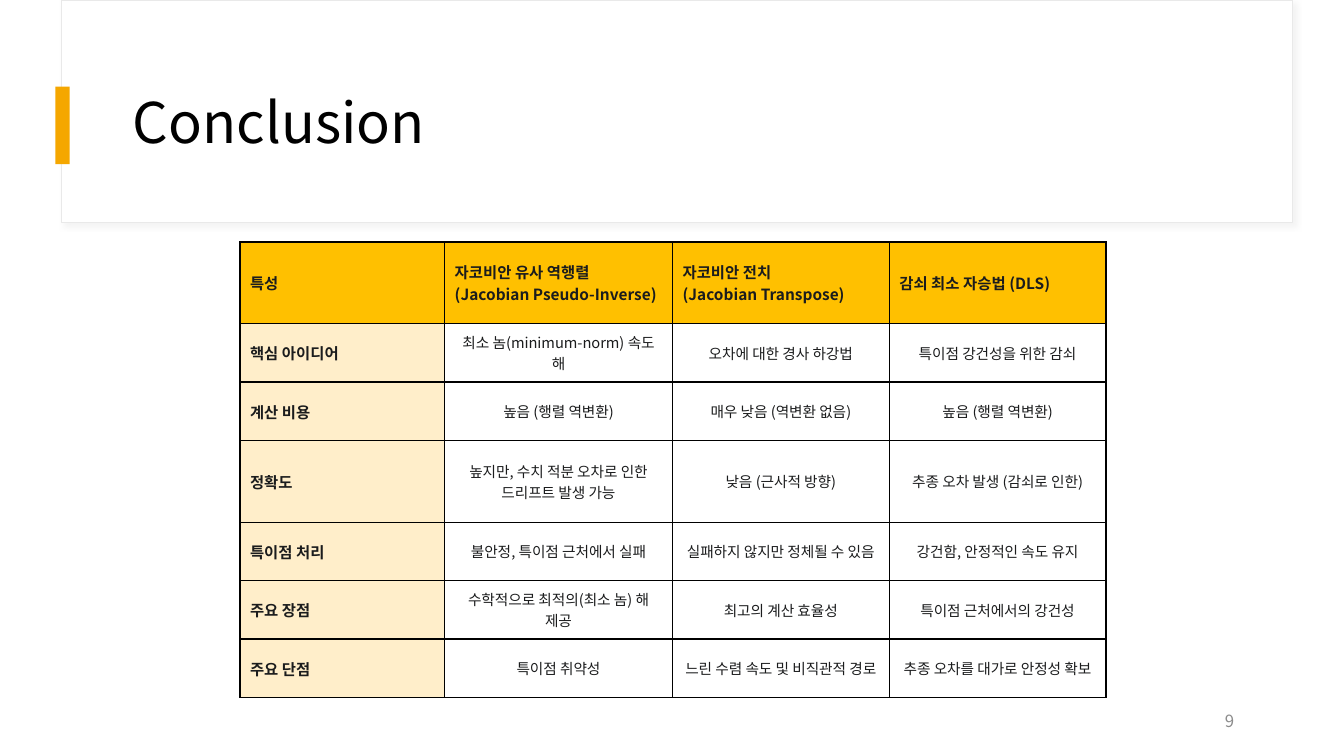
from lxml.etree import SubElement
from pptx import Presentation
from pptx.dml.color import RGBColor
from pptx.enum.shapes import MSO_SHAPE
from pptx.enum.text import MSO_ANCHOR, PP_ALIGN
from pptx.oxml import parse_xml
from pptx.oxml.ns import qn
from pptx.util import Inches, Pt

FACE = "Noto Sans CJK KR"
NS = 'xmlns:a="http://schemas.openxmlformats.org/drawingml/2006/main"'
COLS = [2.03, 2.26, 2.15, 2.15]
ROWS = [0.81, 0.58, 0.58, 0.81, 0.58, 0.58, 0.58]
DATA = [
    ["특성", "자코비안 유사 역행렬\v(Jacobian Pseudo-Inverse)",
     "자코비안 전치\v(Jacobian Transpose)", "감쇠 최소 자승법 (DLS)"],
    ["핵심 아이디어", "최소 놈(minimum-norm) 속도 해",
     "오차에 대한 경사 하강법", "특이점 강건성을 위한 감쇠"],
    ["계산 비용", "높음 (행렬 역변환)", "매우 낮음 (역변환 없음)", "높음 (행렬 역변환)"],
    ["정확도", "높지만, 수치 적분 오차로 인한\v드리프트 발생 가능",
     "낮음 (근사적 방향)", "추종 오차 발생 (감쇠로 인한)"],
    ["특이점 처리", "불안정, 특이점 근처에서 실패",
     "실패하지 않지만 정체될 수 있음", "강건함, 안정적인 속도 유지"],
    ["주요 장점", "수학적으로 최적의(최소 놈) 해 제공",
     "최고의 계산 효율성", "특이점 근처에서의 강건성"],
    ["주요 단점", "특이점 취약성", "느린 수렴 속도 및 비직관적 경로",
     "추종 오차를 대가로 안정성 확보"],
]


def paint(fmt, color):
    fmt.solid()
    fmt.fore_color.rgb = RGBColor.from_string(color)


def write(frame, text, size, color, align=PP_ALIGN.LEFT, bold=False):
    frame.word_wrap = True
    frame.text = text
    para = frame.paragraphs[0]
    para.alignment = align
    font = para.font
    font.size, font.bold, font.name = Pt(size), bold, FACE
    paint(font.fill, color)
    props = para._p.pPr.find(qn("a:defRPr"))
    SubElement(props, qn("a:ea")).set("typeface", FACE)
    return para


def add_text(slide, box, *style):
    frame = slide.shapes.add_textbox(*map(Inches, box)).text_frame
    frame.vertical_anchor = MSO_ANCHOR.MIDDLE
    return write(frame, *style)


def add_rect(slide, box, color):
    rect = slide.shapes.add_shape(MSO_SHAPE.RECTANGLE, *map(Inches, box))
    rect.shadow.inherit = False
    paint(rect.fill, color)
    rect.line.fill.background()
    return rect


def add_header(slide, left, top, width, height):
    card = add_rect(slide, (left, top, width, height), "FFFFFF")
    paint(card.line.fill, "E9E9E9")
    card.line.width = Pt(0.75)
    card._element.spPr.find(qn("a:effectLst")).append(parse_xml(
        f'<a:outerShdw {NS} blurRad="{Pt(4)}" dist="{Pt(3)}" dir="2700000">'
        '<a:srgbClr val="D9D9D9"><a:alpha val="30000"/></a:srgbClr></a:outerShdw>'))
    add_rect(slide, (left - 0.06, top + 0.86, 0.14, 0.77), "F5A700")
    title = add_text(slide, (left + 0.61, top + 0.6, 11.12, 1.29),
                     "Conclusion", 40, "000000")
    title.line_spacing = 0.9


def add_edges(cell):
    props = cell._tc.get_or_add_tcPr()
    for i, side in enumerate("LRTB"):
        props.insert(i, parse_xml(
            f'<a:ln{side} {NS} w="{Pt(1)}"><a:solidFill><a:srgbClr val="000000"/>'
            f'</a:solidFill></a:ln{side}>'))


def add_grid(slide, left, top):
    box = map(Inches, (left, top, sum(COLS), sum(ROWS)))
    table = slide.shapes.add_table(len(ROWS), len(COLS), *box).table
    for col, width in zip(table.columns, COLS):
        col.width = Inches(width)
    for row, height in zip(table.rows, ROWS):
        row.height = Inches(height)
    for r, line in enumerate(DATA):
        for c, text in enumerate(line):
            cell = table.cell(r, c)
            cell.vertical_anchor = MSO_ANCHOR.MIDDLE
            cell.margin_left = cell.margin_right = Inches(0.1)
            cell.margin_top = cell.margin_bottom = Inches(0.06)
            head = r == 0 or c == 0
            if head:
                paint(cell.fill, "FFEECA" if r else "FFC000")
            else:
                cell.fill.background()
            write(cell.text_frame, text, 11 if head else 10.5, "1B1C1D",
                  PP_ALIGN.LEFT if head else PP_ALIGN.CENTER, head)
            add_edges(cell)


def main():
    deck = Presentation()
    deck.slide_width, deck.slide_height = Inches(13.33), Inches(7.5)
    slide = deck.slides.add_slide(deck.slide_layouts[6])
    add_header(slide, 0.61, 0, 12.21, 2.21)
    add_text(slide, (9.34, 6.95, 3, 0.4), "9", 12, "8C8C8C", PP_ALIGN.RIGHT)
    add_grid(slide, 2.38, 2.4)
    deck.save("out.pptx")


if __name__ == "__main__":
    main()
